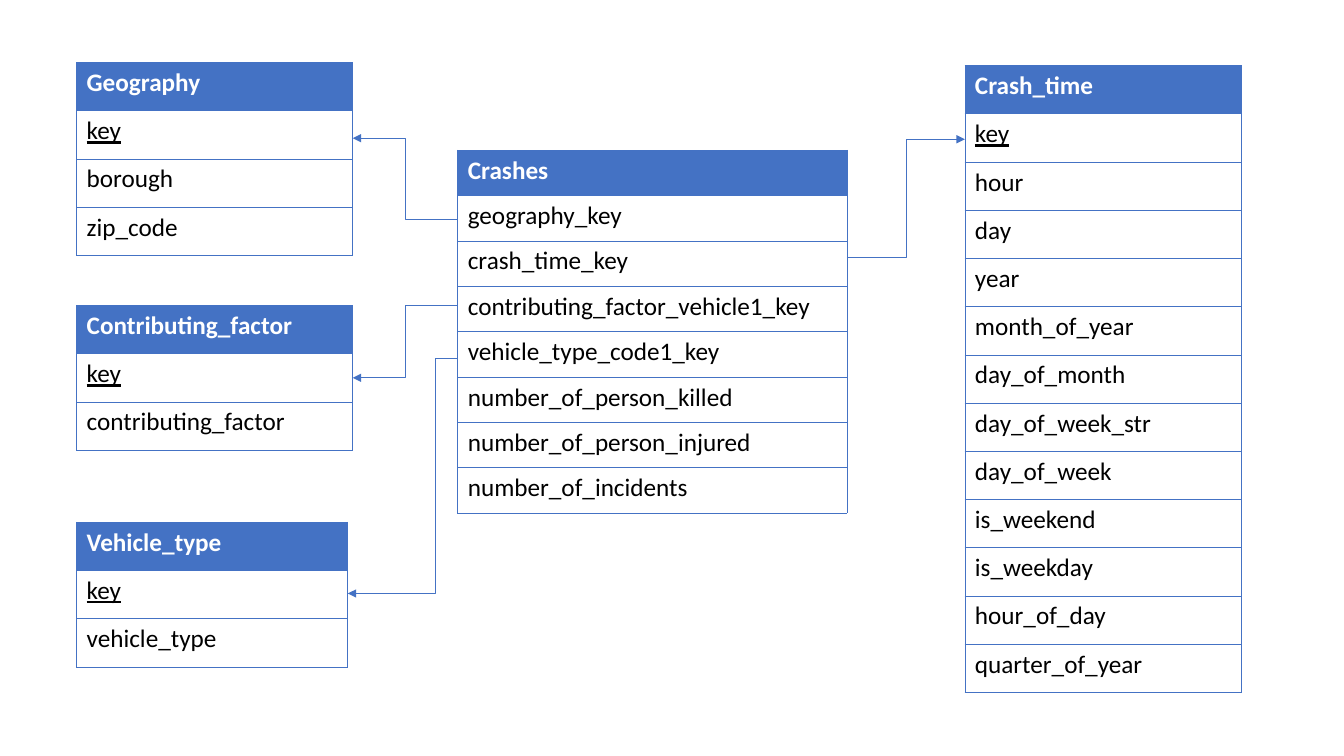
import pptx
import pptx.util
import pptx.dml.color
import pptx.enum.shapes
import pptx.oxml
import pptx.oxml.ns

BLUE = pptx.dml.color.RGBColor(0x44, 0x72, 0xC4)
WHITE = pptx.dml.color.RGBColor(0xFF, 0xFF, 0xFF)
BLACK = pptx.dml.color.RGBColor(0x00, 0x00, 0x00)
NS = pptx.oxml.ns.nsdecls("a")
FONT = "Calibri"
TEXT_SIZE = pptx.util.Pt(18)
LINE_WIDTH = pptx.util.Pt(0.5)
SLIDE_W = pptx.util.Inches(13.33)
SLIDE_H = pptx.util.Inches(7.5)

# Boxes: left, top, width and row height in percent of the slide
ENTITIES = {
    "Crashes": ((34.06, 19.87, 28.96, 6), [
        "geography_key", "crash_time_key", "contributing_factor_vehicle1_key",
        "vehicle_type_code1_key", "number_of_person_killed",
        "number_of_person_injured", "number_of_incidents"]),
    "Crash_time": ((71.79, 8.67, 20.55, 6.38), [
        "key", "hour", "day", "year", "month_of_year", "day_of_month",
        "day_of_week_str", "day_of_week", "is_weekend", "is_weekday",
        "hour_of_day", "quarter_of_year"]),
    "Vehicle_type": ((5.7, 69.07, 20.18, 6.38), ["key", "vehicle_type"]),
    "Contributing_factor": ((5.7, 40.4, 20.55, 6.38),
                            ["key", "contributing_factor"]),
    "Geography": ((5.7, 8.27, 20.55, 6.38), ["key", "borough", "zip_code"]),
}

# Target, row offset in Crashes, row offset in target, bend share
RELATIONS = [
    ("Geography", 1.53, 1.57, 0.5),
    ("Contributing_factor", 3.42, 1.5, 0.5),
    ("Crash_time", 2.36, 1.53, 0.5),
    ("Vehicle_type", 4.58, 1.48, 0.2),
]


def across(percent):
    return round(SLIDE_W * percent / 100)


def down(percent):
    return round(SLIDE_H * percent / 100)


def set_borders(cell):
    tc_pr = cell._tc.get_or_add_tcPr()
    for i, side in enumerate(("lnL", "lnR", "lnT", "lnB")):
        tc_pr.insert(i, pptx.oxml.parse_xml(
            f'<a:{side} {NS} w="{LINE_WIDTH}"><a:solidFill>'
            f'<a:srgbClr val="{BLUE}"/></a:solidFill></a:{side}>'))


def add_entity(s, name, box, fields):
    left, top, width, row_height = box
    names = [name] + fields
    table = s.shapes.add_table(
        len(names), 1, across(left), down(top), across(width),
        down(row_height * len(names))).table
    table.horz_banding = False
    for i, label in enumerate(names):
        table.rows[i].height = down(row_height)
        cell = table.cell(i, 0)
        cell.fill.solid()
        cell.fill.fore_color.rgb = WHITE if i else BLUE
        set_borders(cell)
        p = cell.text_frame.paragraphs[0]
        p.text = label
        font = p.runs[0].font
        font.name = FONT
        font.size = TEXT_SIZE
        font.bold = i == 0
        font.underline = label == "key"
        font.color.rgb = BLACK if i else WHITE


def add_relation(s, source, target, source_row, target_row, bend):
    left, top, width, row_height = source
    target_left, target_top, target_width, target_row_height = target
    if target_left > left:
        begin_x, end_x = left + width, target_left
    else:
        begin_x, end_x = left, target_left + target_width
    line = s.shapes.add_connector(
        pptx.enum.shapes.MSO_CONNECTOR.ELBOW,
        across(begin_x), down(top + source_row * row_height),
        across(end_x), down(target_top + target_row * target_row_height))
    line.line.color.rgb = BLUE
    line.line.width = LINE_WIDTH
    sp_pr = line._element.spPr
    sp_pr.prstGeom.get_or_add_avLst().append(pptx.oxml.parse_xml(
        f'<a:gd {NS} name="adj1" fmla="val {round(bend * 100000)}"/>'))
    sp_pr.find(pptx.oxml.ns.qn("a:ln")).append(
        pptx.oxml.parse_xml(f'<a:tailEnd {NS} type="triangle"/>'))
    sp_pr.append(pptx.oxml.parse_xml(f'<a:effectLst {NS}/>'))


def add_schema(prs):
    s = prs.slides.add_slide(prs.slide_layouts[6])
    for name, (box, fields) in ENTITIES.items():
        add_entity(s, name, box, fields)
    for target, source_row, target_row, bend in RELATIONS:
        add_relation(s, ENTITIES["Crashes"][0], ENTITIES[target][0],
                     source_row, target_row, bend)


def main():
    prs = pptx.Presentation()
    prs.slide_width = SLIDE_W
    prs.slide_height = SLIDE_H
    add_schema(prs)
    prs.save("out.pptx")


if __name__ == "__main__":
    main()
